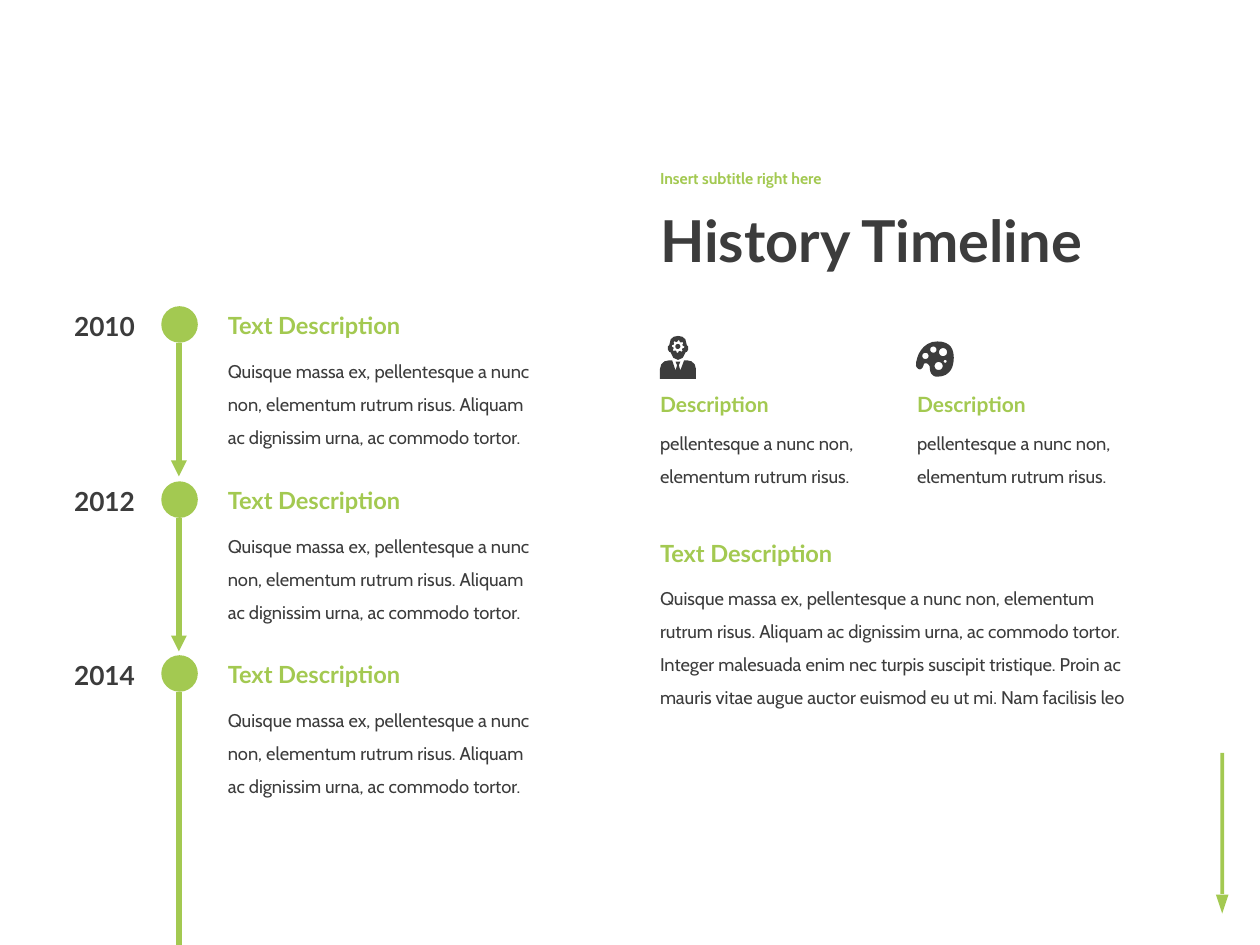
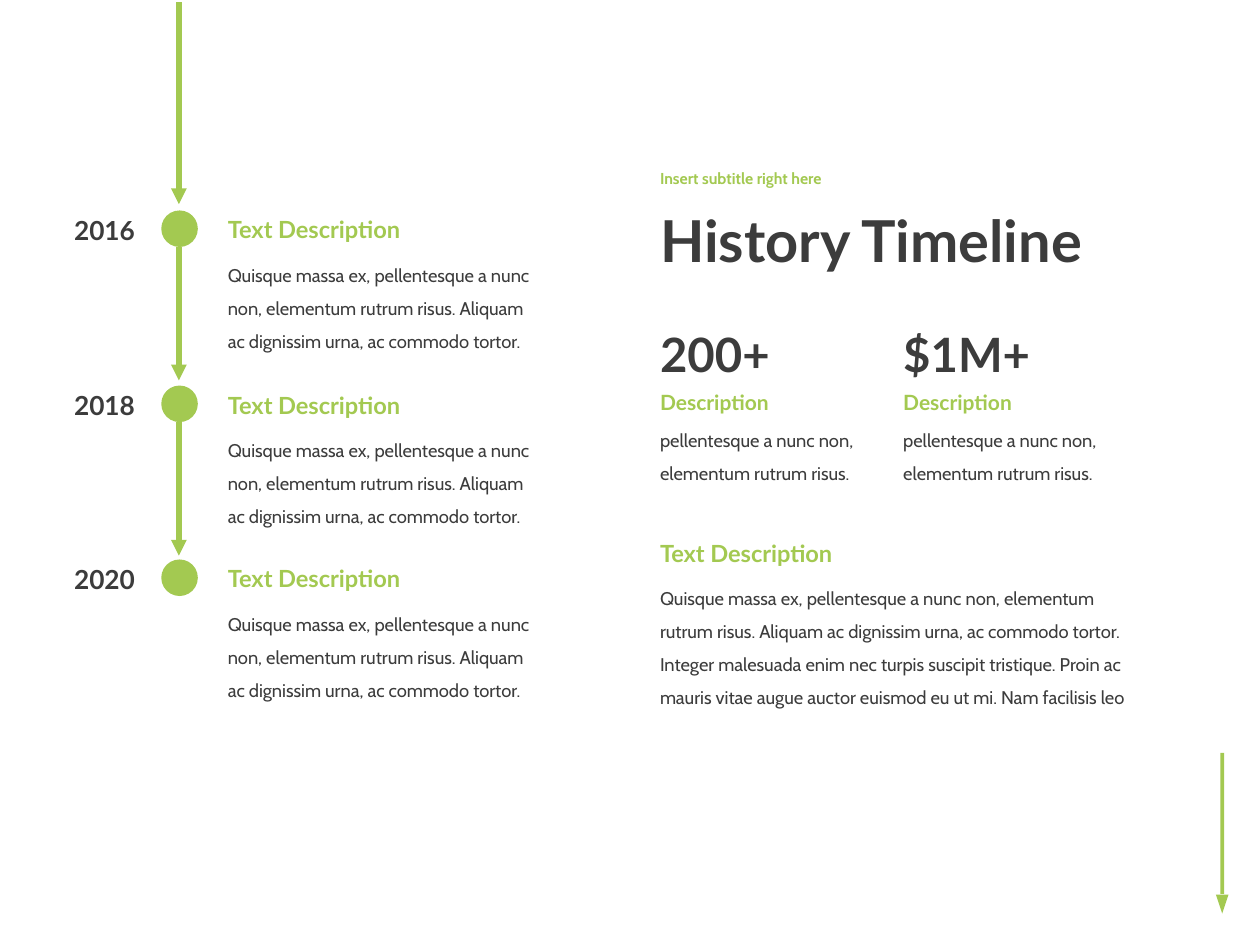
from math import cos, pi, sin

from lxml import etree
from pptx import Presentation
from pptx import util as u
from pptx.dml.color import RGBColor
from pptx.enum import shapes, text
from pptx.oxml.ns import qn

PX = 9144  # 100 px to the inch
GREEN = RGBColor(0xA3, 0xC9, 0x51)
DARK = RGBColor(0x3C, 0x3C, 0x3C)
HEAD, BODY = "Lato", "Cabin"
KIND = shapes.MSO_SHAPE

LEFT = 514
AXIS = 142
DOT = 29
EVENT = ("Quisque massa ex, pellentesque a nunc non, elementum rutrum risus. "
         "Aliquam ac dignissim urna, ac commodo tortor.")
STORY = ("Quisque massa ex, pellentesque a nunc non, elementum rutrum risus. "
         "Aliquam ac dignissim urna, ac commodo tortor. Integer malesuada enim nec "
         "turpis suscipit tristique. Proin ac mauris vitae augue auctor euismod eu "
         "ut mi. Nam facilisis leo")
BRIEF = "pellentesque a nunc non, elementum rutrum risus."

# Icon outlines are in tenths of a px.
SUIT = [(5452, 2860), (5430, 2860), (5400, 2940), (5388, 2900), (5400, 2870),
        (5362, 2870), (5374, 2900), (5362, 2940), (5335, 2860), (5312, 2860),
        (5275, 2868), (5248, 2892), (5238, 2930), (5238, 3008), (5524, 3008),
        (5524, 2930), (5514, 2892), (5488, 2868)]
FACE = [(5452, 2740), (5440, 2692), (5415, 2672), (5382, 2666), (5349, 2672),
        (5324, 2692), (5312, 2740), (5302, 2750), (5302, 2775), (5312, 2792),
        (5322, 2795), (5345, 2840), (5382, 2856), (5419, 2840), (5442, 2795),
        (5452, 2792), (5462, 2775), (5462, 2750)]
CURVES = [((7440, 2710), (7320, 2710), (7270, 2830), (7270, 2900)),
          ((7270, 2900), (7270, 2920), (7310, 2960), (7330, 2900)),
          ((7330, 2900), (7330, 2870), (7380, 2880), (7380, 2920)),
          ((7380, 2920), (7380, 2960), (7400, 2990), (7440, 2990)),
          ((7440, 2990), (7550, 2990), (7570, 2900), (7570, 2840)),
          ((7570, 2840), (7570, 2780), (7550, 2710), (7440, 2710))]
PAINTS = [(7345, 2825, 25), (7408, 2775, 25), (7450, 2905, 32),
          (7502, 2868, 12), (7485, 2795, 32)]

# Eight gear teeth, each with two outer and two inner corners.
gear = []
for i in range(32):
    size = 50 if i % 4 < 2 else 38
    turn = 2 * pi * i / 32
    gear.append((round(5382 + size * cos(turn)), round(2750 + size * sin(turn))))

rim = []
for a, b, c, d in CURVES:
    for i in range(8):
        t = i / 8
        rim.append(tuple(
            round((1 - t) ** 3 * p + 3 * t * (1 - t) ** 2 * q
                  + 3 * t * t * (1 - t) * r + t ** 3 * s)
            for p, q, r, s in zip(a, b, c, d)))
holes = [[(round(x + size * cos(pi * i / 12)), round(y + size * sin(pi * i / 12)))
          for i in range(24)] for x, y, size in PAINTS]
ICONS = [[SUIT], [FACE, gear], [rim] + holes]

PAGES = [
    {"top": 243, "years": ("2010", "2012", "2014"), "lines": [(549, 750, False)],
     "cols": (LEFT, 718), "info": 306, "facts": ()},
    {"top": 167, "years": ("2016", "2018", "2020"), "lines": [(2, 162, True)],
     "cols": (LEFT, 707), "info": 304, "facts": ("200+", "$1M+")},
]


def write(slide, box, words, size, font=HEAD, color=DARK, bold=True, gap=None,
          anchor=text.MSO_ANCHOR.TOP, align=text.PP_ALIGN.LEFT):
    frame = slide.shapes.add_textbox(*[n * PX for n in box]).text_frame
    frame.word_wrap = True
    frame.vertical_anchor = anchor
    para = frame.paragraphs[0]
    para.alignment = align
    if gap:
        para.line_spacing = gap
    run = para.add_run()
    run.text = words
    run.font.size = u.Pt(size)
    run.font.name = font
    run.font.bold = bold
    run.font.color.rgb = color


def paint(shape, color):
    shape.shadow.inherit = False
    shape.fill.solid()
    shape.fill.fore_color.rgb = color
    shape.line.fill.background()
    return shape


deck = Presentation()
deck.slide_width = 1000 * PX
deck.slide_height = 750 * PX
prose = {"font": BODY, "bold": False, "gap": 1.5}
mid = text.MSO_ANCHOR.MIDDLE

for page in PAGES:
    slide = deck.slides.add_slide(deck.slide_layouts[6])
    items = slide.shapes

    # Corner arrow, title and subtitle
    for kind, box, turn in ((KIND.RECTANGLE, (914, 652, 112, 3), 90),
                            (KIND.ISOSCELES_TRIANGLE, (965, 710, 10, 15), 180)):
        part = items.add_shape(kind, *[n * PX for n in box])
        paint(part, GREEN).rotation = turn
    write(slide, (LEFT, 142, 563, 103), "History Timeline", 33, gap=0.9, anchor=mid)
    write(slide, (LEFT, 123, 563, 38), "Insert subtitle right here", 9, BODY, GREEN,
          gap=0.9, anchor=mid)

    # Timeline
    lines = list(page["lines"])
    for i, year in enumerate(page["years"]):
        top = page["top"] + (277 * i + 1) // 2
        dot = items.add_shape(KIND.OVAL, 128 * PX, top * PX, DOT * PX, DOT * PX)
        paint(dot, GREEN)
        write(slide, (43, top - 2, 74, 35), year, 15, align=text.PP_ALIGN.RIGHT)
        write(slide, (171, top - 1, 219, 33), "Text Description", 13.5, color=GREEN)
        write(slide, (171, top + DOT, 260, 87), EVENT, 10.5, **prose)
        if i < 2:
            lines.append((top + DOT, top + 135, True))
    for start, end, tip in lines:
        line = items.add_connector(shapes.MSO_CONNECTOR.STRAIGHT,
                                   AXIS * PX, start * PX, AXIS * PX, end * PX)
        line.line.color.rgb = GREEN
        line.line.width = u.Pt(3)
        props = line.line._get_or_add_ln()
        if tip:
            etree.SubElement(props, qn("a:tailEnd"), type="triangle")
        etree.SubElement(props.getparent(), qn("a:effectLst"))

    # Two columns, led by figures or icons
    info = page["info"]
    for x in page["cols"]:
        write(slide, (x, info, 150, 30), "Description", 12, color=GREEN)
        write(slide, (x, info + 23, 189, 60), BRIEF, 10.5, **prose)
    for x, fact in zip(page["cols"], page["facts"]):
        write(slide, (x, 253, 150, 56), fact, 27)
    if not page["facts"]:
        for icon in ICONS:
            pen = items.build_freeform(*icon[0][0], scale=PX / 10)
            pen.add_line_segments(icon[0][1:], close=True)
            for hole in icon[1:]:
                pen.move_to(*hole[0])
                pen.add_line_segments(hole[1:], close=True)
            paint(pen.convert_to_shape(), DARK)
        paint(items.add_shape(KIND.OVAL, 536 * PX, 273 * PX, 4 * PX, 4 * PX), DARK)

    # Closing story
    write(slide, (LEFT, 423, 219, 33), "Text Description", 13.5, color=GREEN)
    write(slide, (LEFT, 452, 400, 113), STORY, 10.5, **prose)

deck.save("out.pptx")
